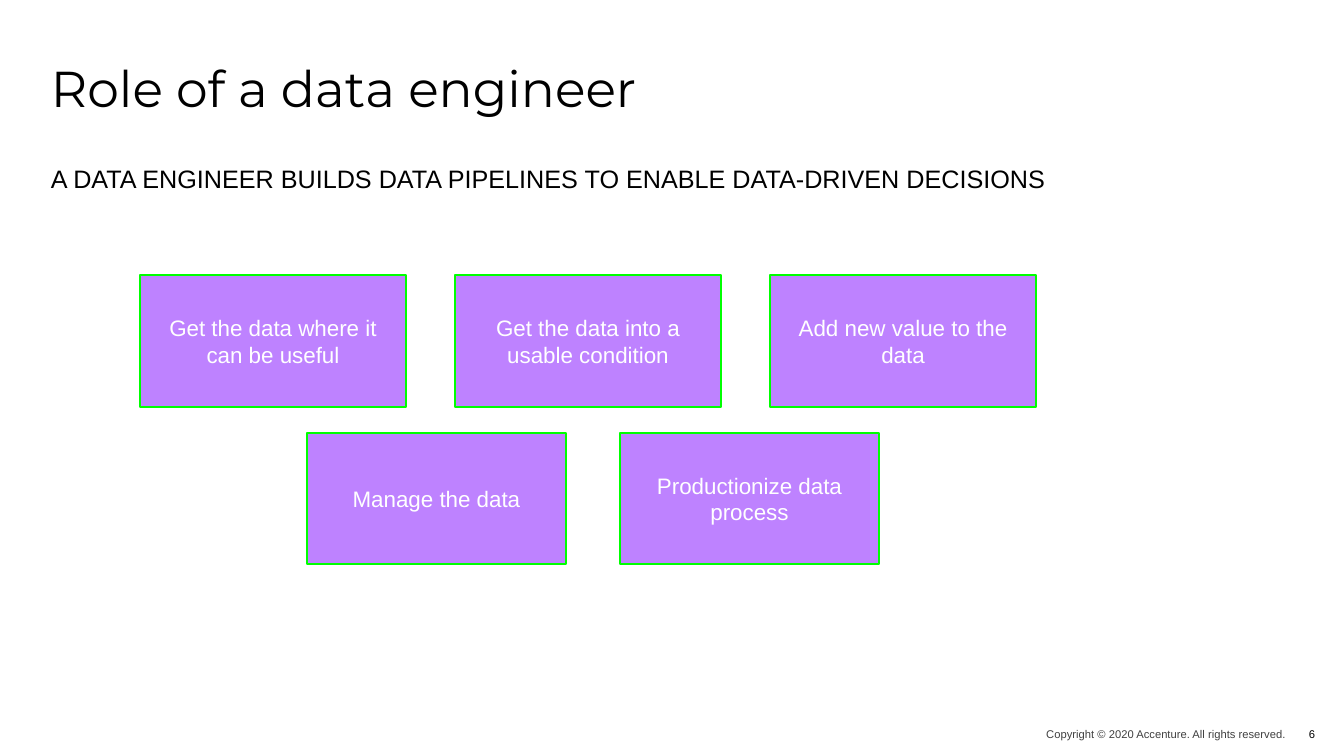
from pptx import Presentation
from pptx.dml.color import RGBColor
from pptx.enum.shapes import MSO_SHAPE
from pptx.enum.text import MSO_ANCHOR, PP_ALIGN
from pptx.util import Emu, Pt

PX = 914400 / 100.8
BLACK, GREY, WHITE = "000000", "404040", "FFFFFF"
PURPLE, GREEN = "BE82FF", "00FF00"


def px(n):
    return Emu(round(n * PX))


def color(value):
    return RGBColor.from_string(value)


def write(sp, text, size, ink, align=PP_ALIGN.LEFT, anchor=MSO_ANCHOR.MIDDLE,
          font="Arial", insets=None):
    tf = sp.text_frame
    tf.word_wrap = True
    tf.vertical_anchor = anchor
    if insets:
        tf.margin_left, tf.margin_top, tf.margin_right, tf.margin_bottom = map(px, insets)
    p = tf.paragraphs[0]
    p.alignment = align
    r = p.add_run()
    r.text = text
    r.font.name = font
    r.font.size = Pt(size)
    r.font.color.rgb = color(ink)
    return p


def add_text(s, box, text, size, ink=BLACK, **style):
    sp = s.shapes.add_textbox(*map(px, box))
    return write(sp, text, size, ink, **style)


def add_heading(s, x, y, w):
    p = add_text(s, (x, y, w, 109), "Role of a data engineer", 36,
                 font="Montserrat", insets=(9, 5, 0, 0))
    p.line_spacing = 0.7
    add_text(s, (x - 1, y + 120, w, 549),
             "A DATA ENGINEER BUILDS DATA PIPELINES TO ENABLE DATA-DRIVEN DECISIONS",
             18, anchor=MSO_ANCHOR.TOP)


def add_role_row(s, x, y, w, h, gap, roles):
    for i, role in enumerate(roles):
        sp = s.shapes.add_shape(MSO_SHAPE.RECTANGLE, px(x + i * (w + gap)), px(y), px(w), px(h))
        sp.shadow.inherit = False
        sp.fill.solid()
        sp.fill.fore_color.rgb = color(PURPLE)
        sp.line.color.rgb = color(GREEN)
        sp.line.width = Pt(1)
        write(sp, role, 16, WHITE, align=PP_ALIGN.CENTER)


def add_footer(s, x, y, h):
    flush = (0, 0, 0, 0)
    add_text(s, (x, y, 343, h), "Copyright © 2020 Accenture. All rights reserved.", 8, GREY,
             align=PP_ALIGN.RIGHT, insets=flush)
    add_text(s, (x + 348, y, 42, h), "6", 8, align=PP_ALIGN.CENTER, insets=flush)


def main():
    prs = Presentation()
    prs.slide_width, prs.slide_height = px(1344), px(756)
    s = prs.slides.add_slide(prs.slide_layouts[6])
    add_heading(s, 42, 38, 1260)
    add_role_row(s, 140, 275, 266, 132, 49, [
        "Get the data where it can be useful",
        "Get the data into a usable condition",
        "Add new value to the data",
    ])
    add_role_row(s, 307, 433, 259, 131, 54, ["Manage the data", "Productionize data process"])
    add_footer(s, 943, 723, 22)
    prs.save("out.pptx")


if __name__ == "__main__":
    main()
